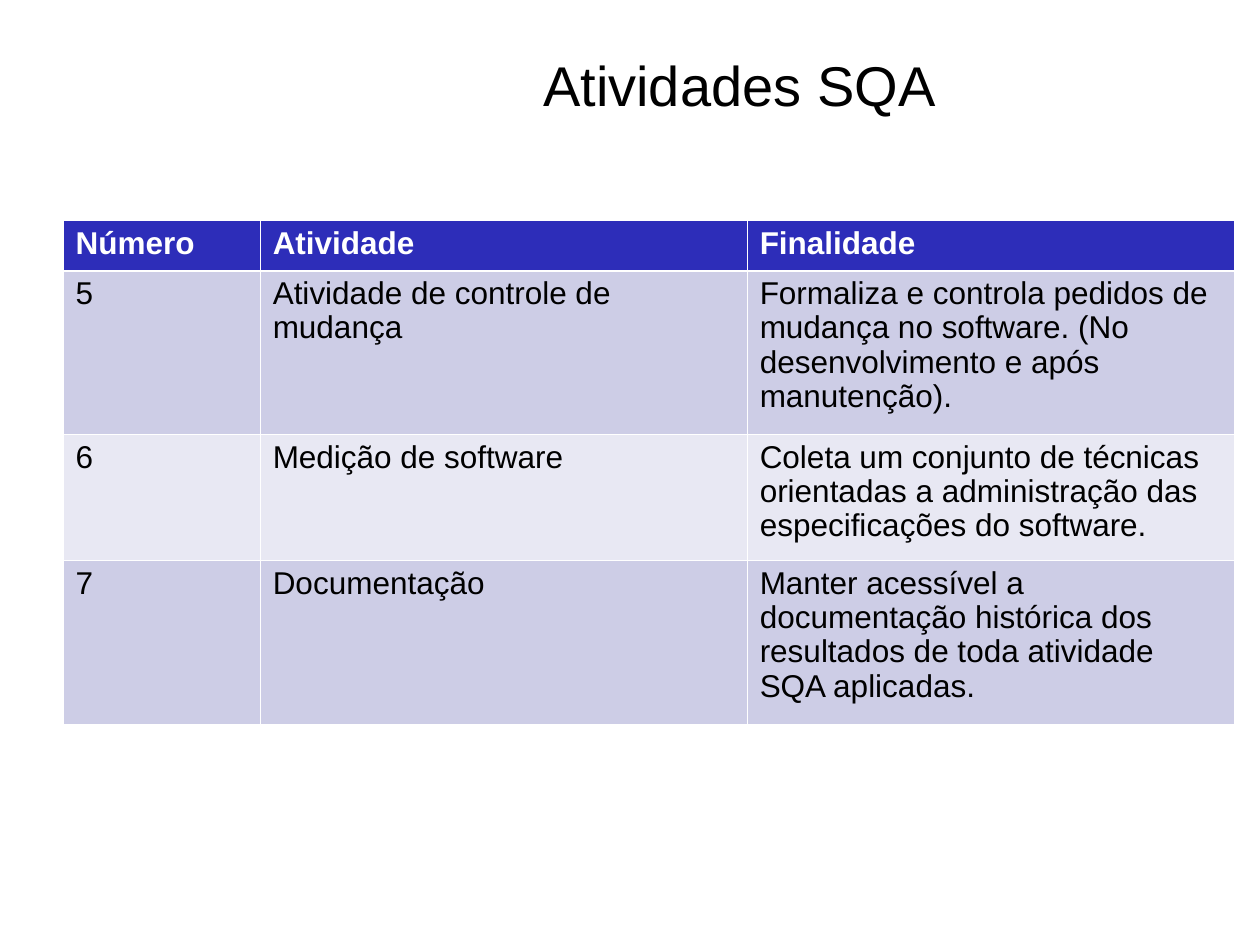
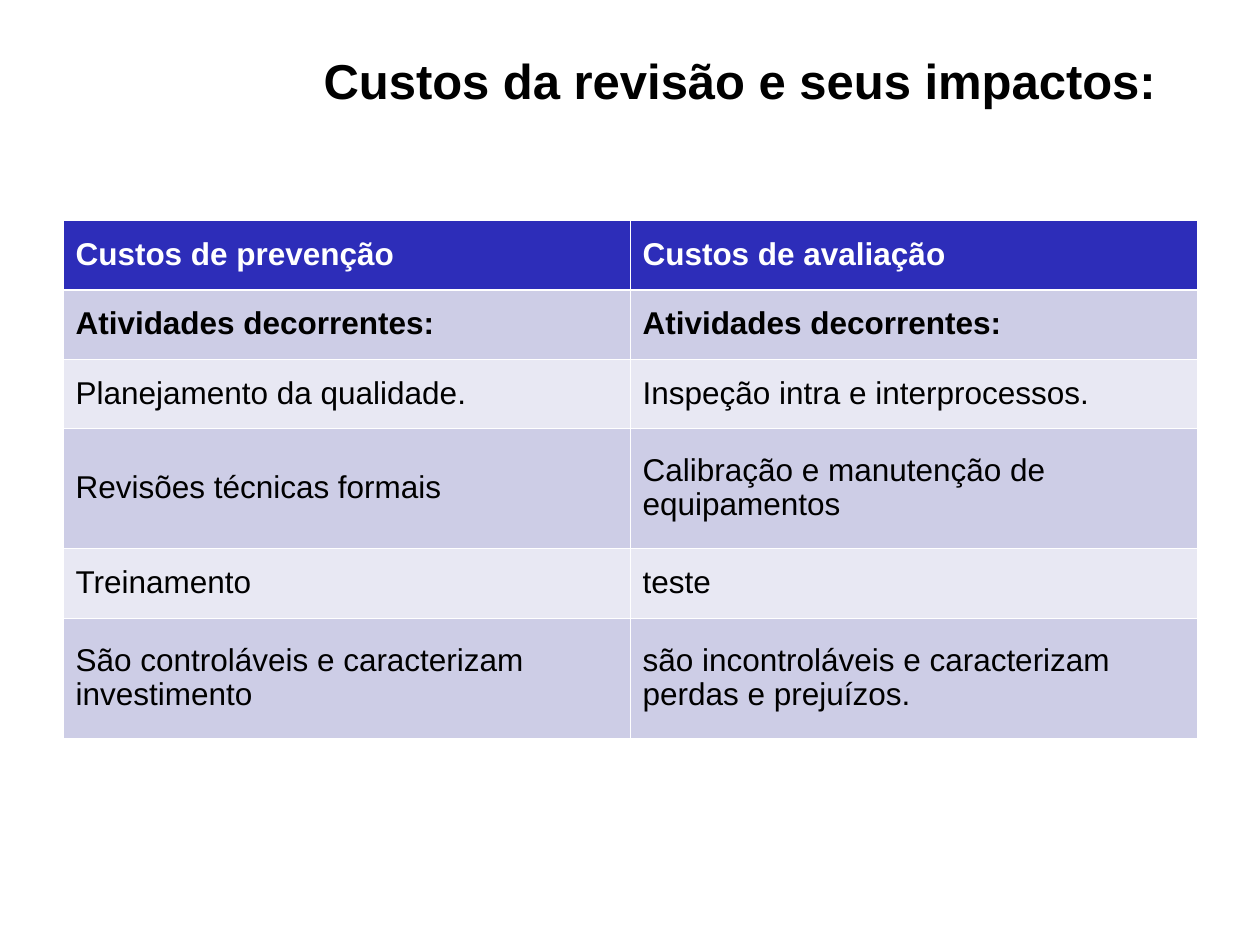
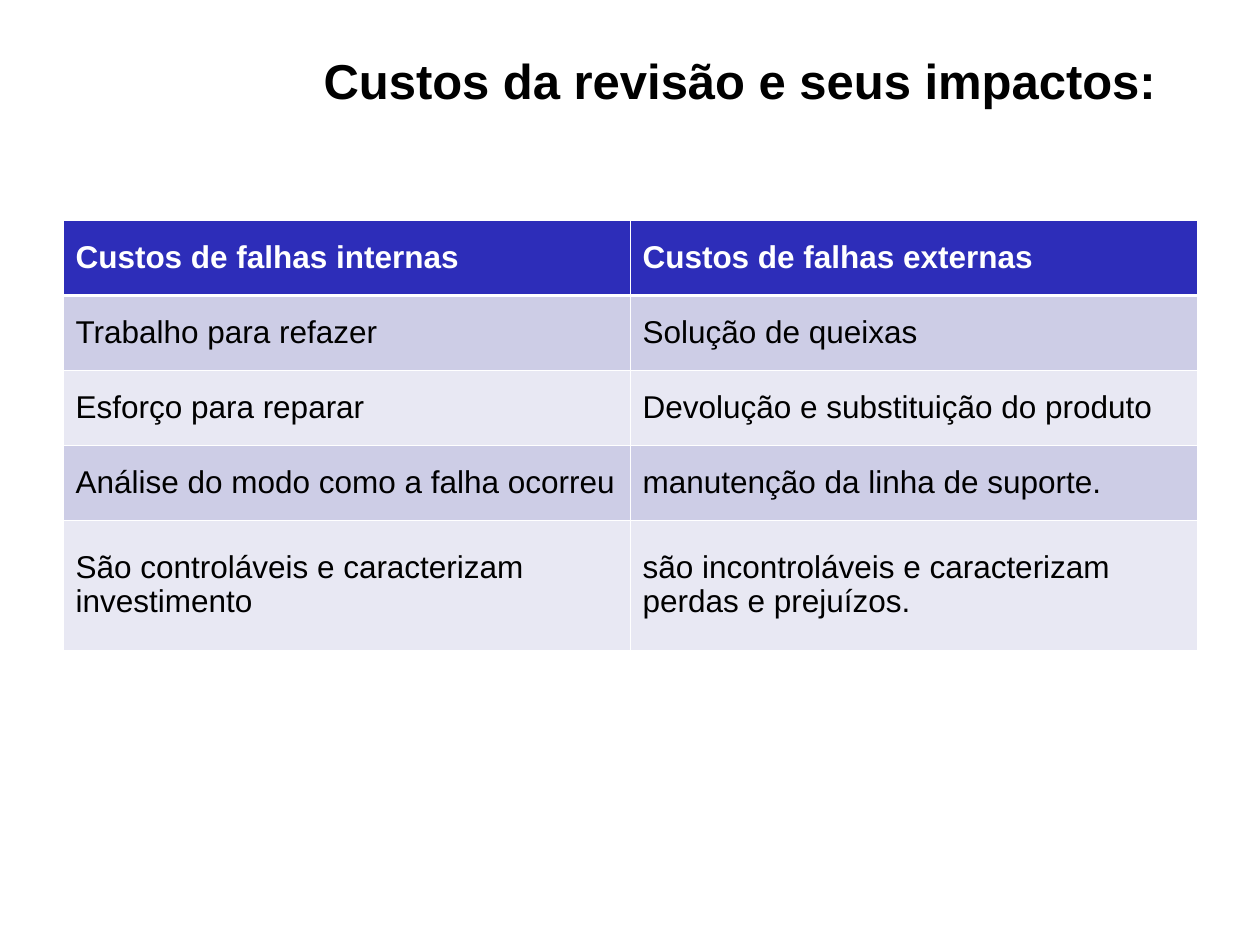
from dataclasses import dataclass

from lxml import etree
from pptx import Presentation
from pptx import util as u
from pptx.dml.color import RGBColor
from pptx.enum import text
from pptx.oxml import ns

GRID_UNIT = u.Inches(0.5)
SLIDE_COLUMNS, SLIDE_ROWS = 20, 15

WHITE = RGBColor(0xFF, 0xFF, 0xFF)
BLACK = RGBColor(0x00, 0x00, 0x00)
HEADER_BLUE = RGBColor(0x2D, 0x2D, 0xB9)
BAND_DARK = RGBColor(0xCD, 0xCD, 0xE6)
BAND_LIGHT = RGBColor(0xE8, 0xE8, 0xF3)

FONT = "Arial"
CELL_SIZE = 18
LINE_SPACING = 0.97
THIN_BORDER, HEADER_BORDER = 0.45, 1.47


@dataclass(frozen=True)
class Area:
    left: float
    top: float
    width: float
    height: float


@dataclass(frozen=True)
class TableSlide:
    title: str
    title_size: int
    title_bold: bool
    columns: tuple[float, ...]
    rows: tuple[float, ...]
    cells: tuple[tuple[str, ...], ...]
    anchor: text.MSO_ANCHOR = text.MSO_ANCHOR.MIDDLE
    bold_rows: int = 1


TITLE_AREA = Area(4.48, 0.6, 14.52, 1.7)
TABLE_LEFT, TABLE_TOP = 1, 3.5
COST_TITLE = "Custos da revisão e seus impactos:"
COST_COLUMNS = (9, 9)
COST_SUMMARY = (
    "São controláveis e caracterizam investimento",
    "são incontroláveis e caracterizam perdas e prejuízos.",
)

SLIDES = (
    TableSlide(
        "Atividades SQA", 32, False,
        (3.13, 7.73, 7.73), (0.8, 2.6, 2, 2.6),
        (
            ("Número", "Atividade", "Finalidade"),
            ("5", "Atividade de controle de mudança",
             "Formaliza e controla pedidos de mudança no software. "
             "(No desenvolvimento e após manutenção)."),
            ("6", "Medição de software",
             "Coleta um conjunto de técnicas orientadas a administração "
             "das especificações do software."),
            ("7", "Documentação",
             "Manter acessível a documentação histórica dos resultados "
             "de toda atividade SQA aplicadas."),
        ),
        anchor=text.MSO_ANCHOR.TOP,
    ),
    TableSlide(
        COST_TITLE, 28, True,
        COST_COLUMNS, (1.1, 1.1, 1.1, 1.91, 1.1, 1.91),
        (
            ("Custos de prevenção", "Custos de avaliação"),
            ("Atividades decorrentes:",) * 2,
            ("Planejamento da qualidade.", "Inspeção intra e interprocessos."),
            ("Revisões técnicas formais", "Calibração e manutenção de equipamentos"),
            ("Treinamento", "teste"),
            COST_SUMMARY,
        ),
        bold_rows=2,
    ),
    TableSlide(
        COST_TITLE, 28, True,
        COST_COLUMNS, (1.19, 1.19, 1.19, 1.19, 2.06),
        (
            ("Custos de falhas internas", "Custos de falhas externas"),
            ("Trabalho para refazer", "Solução de queixas"),
            ("Esforço para reparar", "Devolução e substituição do produto"),
            ("Análise do modo como a falha ocorreu", "manutenção da linha de suporte."),
            COST_SUMMARY,
        ),
    ),
)


def grid(units: float) -> int:
    return round(units * GRID_UNIT)


def format_font(font, size: float, bold: bool, colour: RGBColor) -> None:
    font.name = FONT
    font.size = u.Pt(size)
    font.bold = bold
    font.color.rgb = colour


def set_title(page, content: TableSlide) -> None:
    box = page.shapes.title
    box.left, box.top = grid(TITLE_AREA.left), grid(TITLE_AREA.top)
    box.width, box.height = grid(TITLE_AREA.width), grid(TITLE_AREA.height)
    frame = box.text_frame
    frame.text = content.title
    frame.word_wrap = True
    frame.auto_size = text.MSO_AUTO_SIZE.NONE
    frame.vertical_anchor = text.MSO_ANCHOR.TOP
    frame.margin_top = u.Inches(0.1)
    para = frame.paragraphs[0]
    para.alignment = text.PP_ALIGN.CENTER
    format_font(para.runs[0].font, content.title_size, content.title_bold, BLACK)


def set_borders(cell, top: float, bottom: float) -> None:
    properties = cell._tc.get_or_add_tcPr()
    widths = {"lnL": THIN_BORDER, "lnR": THIN_BORDER, "lnT": top, "lnB": bottom}
    for position, (side, width) in enumerate(widths.items()):
        line = etree.Element(ns.qn(f"a:{side}"), w=str(u.Pt(width)))
        fill = etree.SubElement(line, ns.qn("a:solidFill"))
        etree.SubElement(fill, ns.qn("a:srgbClr"), val=str(WHITE))
        properties.insert(position, line)


def row_fill(row: int) -> RGBColor:
    if row == 0:
        return HEADER_BLUE
    return BAND_DARK if row % 2 else BAND_LIGHT


def add_cost_table(page, content: TableSlide) -> None:
    table = page.shapes.add_table(
        len(content.rows), len(content.columns),
        grid(TABLE_LEFT), grid(TABLE_TOP),
        grid(sum(content.columns)), grid(sum(content.rows)),
    ).table
    table.horz_banding = False
    for column, width in zip(table.columns, content.columns):
        column.width = grid(width)
    for row, height in enumerate(content.rows):
        table.rows[row].height = grid(height)
        for column, wording in enumerate(content.cells[row]):
            cell = table.cell(row, column)
            cell.text_frame.text = wording
            cell.vertical_anchor = content.anchor
            cell.fill.solid()
            cell.fill.fore_color.rgb = row_fill(row)
            set_borders(
                cell,
                HEADER_BORDER if row == 1 else THIN_BORDER,
                HEADER_BORDER if row == 0 else THIN_BORDER,
            )
            para = cell.text_frame.paragraphs[0]
            para.line_spacing = LINE_SPACING
            format_font(
                para.runs[0].font, CELL_SIZE,
                row < content.bold_rows, BLACK if row else WHITE,
            )


def main() -> None:
    deck = Presentation()
    deck.slide_width, deck.slide_height = grid(SLIDE_COLUMNS), grid(SLIDE_ROWS)
    title_only = deck.slide_layouts.get_by_name("Title Only")
    for content in SLIDES:
        page = deck.slides.add_slide(title_only)
        set_title(page, content)
        add_cost_table(page, content)
    deck.save("out.pptx")


if __name__ == "__main__":
    main()
